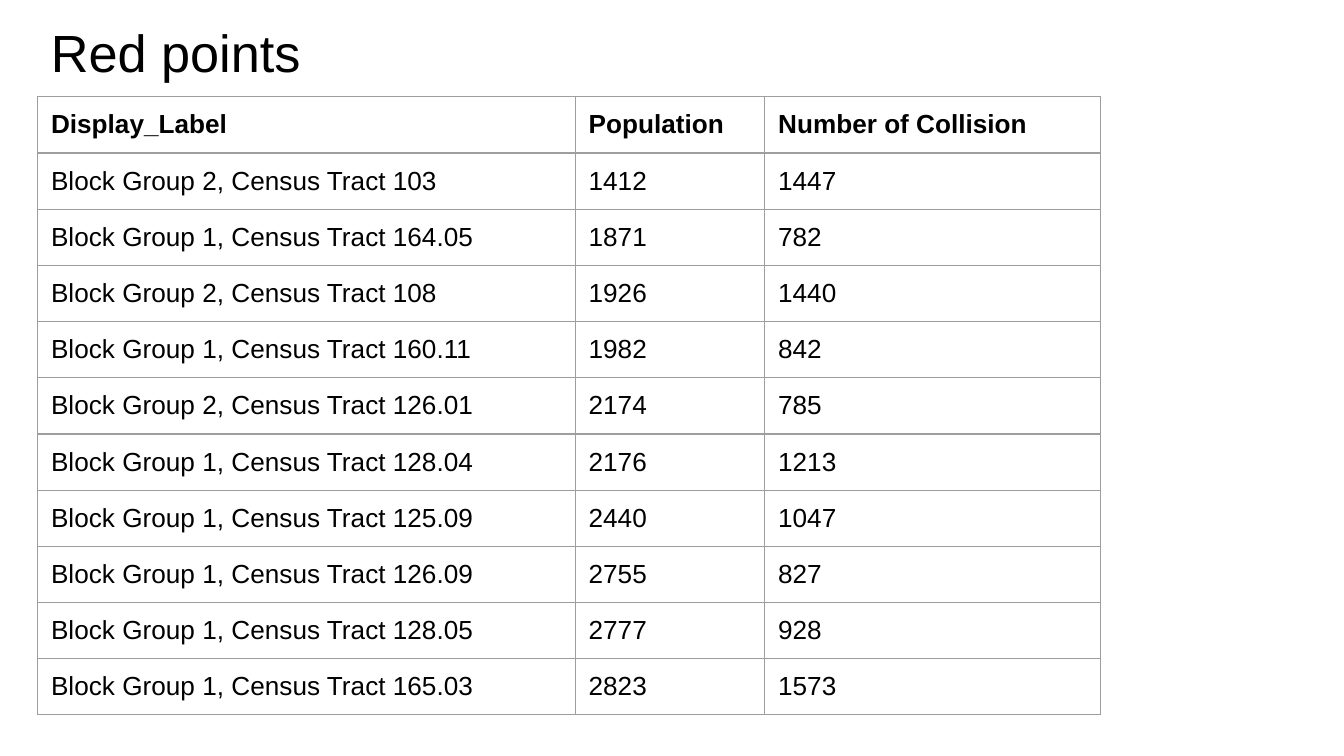
from typing import NamedTuple

from lxml.etree import SubElement
from pptx import Presentation
from pptx.dml.color import RGBColor
from pptx.enum.text import MSO_ANCHOR
from pptx.oxml.ns import qn
from pptx.util import Inches, Pt

SLIDE_WIDTH = 10
SLIDE_HEIGHT = SLIDE_WIDTH * 9 / 16
LEFT = 0.28
INSET = 0.1
CELL_BOTTOM_INSET = 0.08
FONT = "Arial"
COLORS = {"text": "000000", "border": "9E9E9E", "background": "FFFFFF"}
COLUMN_WIDTHS = (4.0, 1.41, 2.5)
TABLE_TOP, TABLE_HEIGHT = 0.72, 4.6
HEADINGS = ("Display_Label", "Population", "Number of Collision")


class BlockGroup(NamedTuple):
    group: int
    tract: str
    population: int
    collisions: int

    def cells(self) -> tuple[str, str, str]:
        label = f"Block Group {self.group}, Census Tract {self.tract}"
        return label, str(self.population), str(self.collisions)


BLOCK_GROUPS = (
    BlockGroup(2, "103", 1412, 1447),
    BlockGroup(1, "164.05", 1871, 782),
    BlockGroup(2, "108", 1926, 1440),
    BlockGroup(1, "160.11", 1982, 842),
    BlockGroup(2, "126.01", 2174, 785),
    BlockGroup(1, "128.04", 2176, 1213),
    BlockGroup(1, "125.09", 2440, 1047),
    BlockGroup(1, "126.09", 2755, 827),
    BlockGroup(1, "128.05", 2777, 928),
    BlockGroup(1, "165.03", 2823, 1573),
)


def add_text(text_frame, text: str, size: float, bold: bool = False) -> None:
    run = text_frame.paragraphs[0].add_run()
    run.text = text
    run.font.name = FONT
    run.font.size = Pt(size)
    run.font.bold = bold
    run.font.color.rgb = RGBColor.from_string(COLORS["text"])


def set_insets(box, bottom: float = INSET) -> None:
    """Set the margins of a text frame or a table cell."""
    box.margin_left = box.margin_right = box.margin_top = Inches(INSET)
    box.margin_bottom = Inches(bottom)


def add_borders(cell) -> None:
    properties = cell._tc.get_or_add_tcPr()
    for side in ("lnL", "lnR", "lnT", "lnB"):
        line = SubElement(properties, qn(f"a:{side}"), w=str(Pt(0.75)))
        fill = SubElement(line, qn("a:solidFill"))
        SubElement(fill, qn("a:srgbClr"), val=COLORS["border"])


def add_title(slide, text: str) -> None:
    title = slide.shapes.add_textbox(
        Inches(LEFT), Inches(0.05), Inches(9.32), Inches(0.63)
    )
    title.text_frame.word_wrap = True
    set_insets(title.text_frame)
    add_text(title.text_frame, text, 28)


def add_collision_table(slide) -> None:
    rows = (HEADINGS, *(block_group.cells() for block_group in BLOCK_GROUPS))
    table = slide.shapes.add_table(
        len(rows), len(HEADINGS), Inches(LEFT), Inches(TABLE_TOP),
        Inches(sum(COLUMN_WIDTHS)), Inches(TABLE_HEIGHT),
    ).table
    table.first_row = table.horz_banding = False
    for column, width in zip(table.columns, COLUMN_WIDTHS):
        column.width = Inches(width)
    for row_index, texts in enumerate(rows):
        table.rows[row_index].height = Inches(TABLE_HEIGHT / len(rows))
        for column_index, text in enumerate(texts):
            cell = table.cell(row_index, column_index)
            set_insets(cell, CELL_BOTTOM_INSET)
            cell.vertical_anchor = MSO_ANCHOR.TOP
            add_borders(cell)
            cell.fill.background()
            add_text(cell.text_frame, text, 14, bold=row_index == 0)


def main() -> None:
    presentation = Presentation()
    presentation.slide_width = Inches(SLIDE_WIDTH)
    presentation.slide_height = Inches(SLIDE_HEIGHT)
    slide = presentation.slides.add_slide(presentation.slide_layouts[6])
    slide.background.fill.solid()
    slide.background.fill.fore_color.rgb = RGBColor.from_string(COLORS["background"])
    add_title(slide, "Red points")
    add_collision_table(slide)
    presentation.save("out.pptx")


if __name__ == "__main__":
    main()
